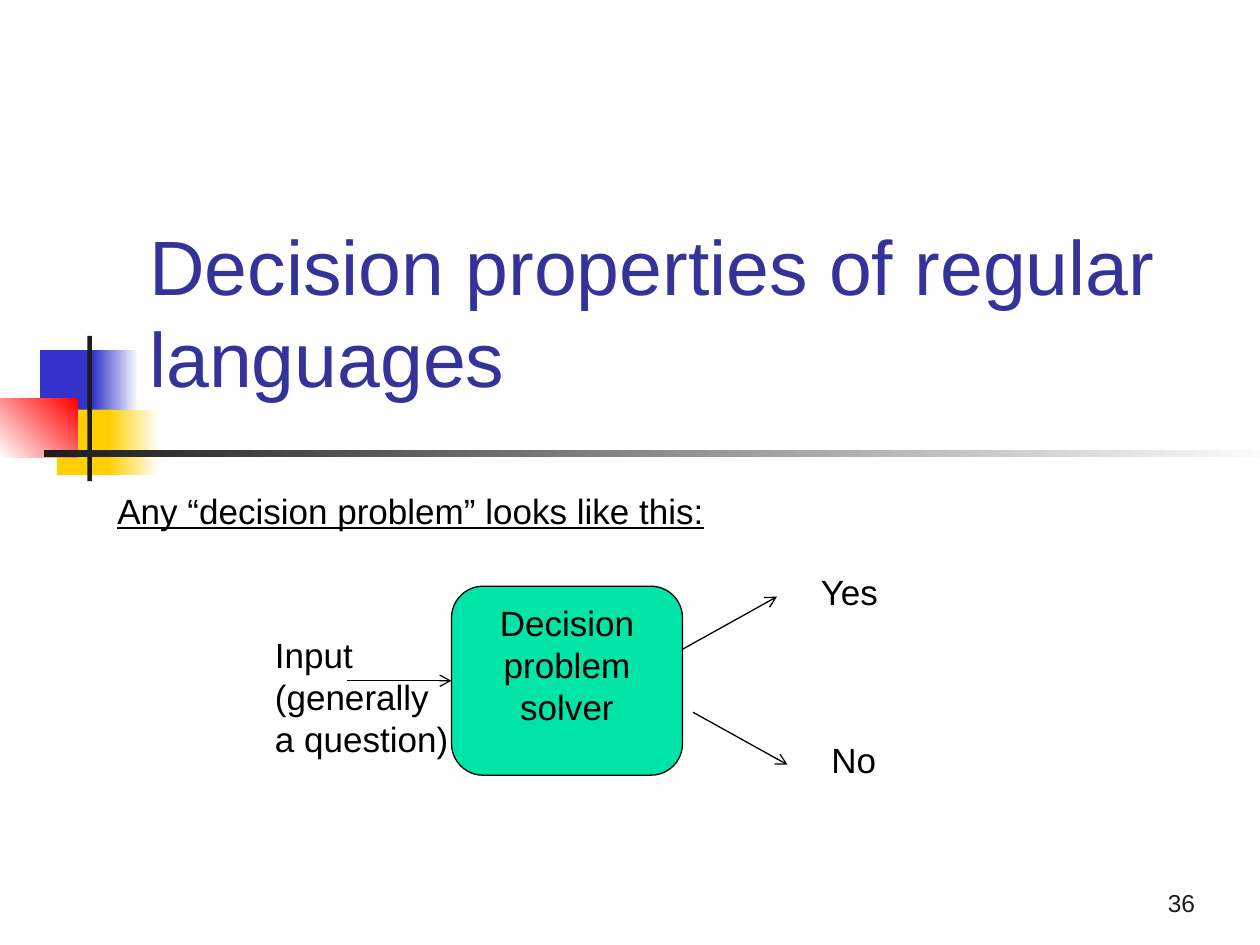
import pptx
import pptx.util
import pptx.dml.color
import pptx.enum.shapes
import pptx.enum.text
import pptx.oxml
import pptx.oxml.ns

Pt = pptx.util.Pt
RGB = pptx.dml.color.RGBColor.from_string
SHAPE = pptx.enum.shapes.MSO_SHAPE
ALIGN = pptx.enum.text.PP_ALIGN
ANCHOR = pptx.enum.text.MSO_ANCHOR
COLORS = {
    "white": "FFFFFF", "black": "000000", "ink": "1C1C1C", "title": "333399",
    "blue": "3333CC", "yellow": "FFCF01", "red": "FF0000", "solver": "00E4A8",
}


def format_text(frame, text, size, color, align=ALIGN.LEFT, underline=None):
    frame.text = text
    paragraph = frame.paragraphs[0]
    paragraph.alignment = align
    paragraph.font.name = "Arial"
    paragraph.font.size = Pt(size)
    paragraph.font.underline = underline
    paragraph.font.color.rgb = RGB(COLORS[color])


prs = pptx.Presentation()
prs.slide_width, prs.slide_height = Pt(720), Pt(540)
slide = prs.slides.add_slide(prs.slide_layouts[5])
shapes = slide.shapes

ornaments = [
    (23, 200, 35, 37.5, ["blue"], 0),
    (53, 200, 26, 37.5, ["blue", "white"], 0),
    (32.5, 234, 33, 37.5, ["yellow"], 0),
    (62, 234, 29, 37.5, ["yellow", "white"], 0),
    (0, 228, 44.5, 33.5, ["white", "red"], 45),
    (50, 192, 2.5, 83, ["ink"], 0),
    (25, 257, 709, 4, ["ink", "white"], 0),
]
for left, top, width, height, colors, angle in ornaments:
    ornament = shapes.add_shape(SHAPE.RECTANGLE, Pt(left), Pt(top), Pt(width), Pt(height))
    ornament.shadow.inherit = False
    ornament.line.fill.background()
    if len(colors) == 1:
        ornament.fill.solid()
        ornament.fill.fore_color.rgb = RGB(COLORS[colors[0]])
    else:
        ornament.fill.gradient()
        ornament.fill.gradient_angle = angle
        for stop, color, position in zip(ornament.fill.gradient_stops, colors, (0, 1)):
            stop.color.rgb = RGB(COLORS[color])
            stop.position = position

title = shapes.title
title.left, title.top, title.width, title.height = Pt(78), Pt(144), Pt(612), Pt(90)
title.text_frame.vertical_anchor = ANCHOR.BOTTOM
title.text_frame.auto_size = pptx.enum.text.MSO_AUTO_SIZE.NONE
format_text(title.text_frame, "Decision properties of regular languages", 44, "title")

solver = shapes.add_shape(SHAPE.ROUNDED_RECTANGLE, Pt(258), Pt(335), Pt(132), Pt(108))
solver.shadow.inherit = False
solver.fill.solid()
solver.fill.fore_color.rgb = RGB(COLORS["solver"])
solver.line.color.rgb = RGB(COLORS["black"])
solver.line.width = Pt(0.75)
solver.text_frame.word_wrap = True
solver.text_frame.vertical_anchor = ANCHOR.TOP
format_text(solver.text_frame, "Decision problem solver", 20, "black", ALIGN.CENTER)

for x1, y1, x2, y2 in [(198, 389, 258, 389), (390, 371, 444, 341), (396, 407, 450, 437)]:
    arrow = shapes.add_connector(
        pptx.enum.shapes.MSO_CONNECTOR.STRAIGHT, Pt(x1), Pt(y1), Pt(x2), Pt(y2))
    arrow.line.color.rgb = RGB(COLORS["black"])
    arrow.line.width = Pt(0.75)
    head = pptx.oxml.parse_xml(
        f'<a:tailEnd {pptx.oxml.ns.nsdecls("a")} type="arrow"/>')
    arrow.line._get_or_add_ln().append(head)
    effects = pptx.oxml.parse_xml(f'<a:effectLst {pptx.oxml.ns.nsdecls("a")}/>')
    arrow._element.spPr.append(effects)

labels = [
    ("Input\v(generally\va question)", 150, 358.5, 114.5, 80, None),
    ("Yes", 462, 322.5, 47.5, 31.5, None),
    ("No", 468, 418.5, 40.5, 31.5, None),
    ("Any “decision problem” looks like this:", 60, 276, 352, 31.5, True),
]
for text, left, top, width, height, underline in labels:
    label = shapes.add_textbox(Pt(left), Pt(top), Pt(width), Pt(height))
    label.text_frame.word_wrap = False
    format_text(label.text_frame, text, 20, "black", underline=underline)

page_number = shapes.add_textbox(Pt(540), Pt(492), Pt(150), Pt(36))
page_number.text_frame.word_wrap = True
page_number.text_frame.vertical_anchor = ANCHOR.BOTTOM
format_text(page_number.text_frame, "36", 14, "ink", ALIGN.RIGHT)

prs.save("out.pptx")
